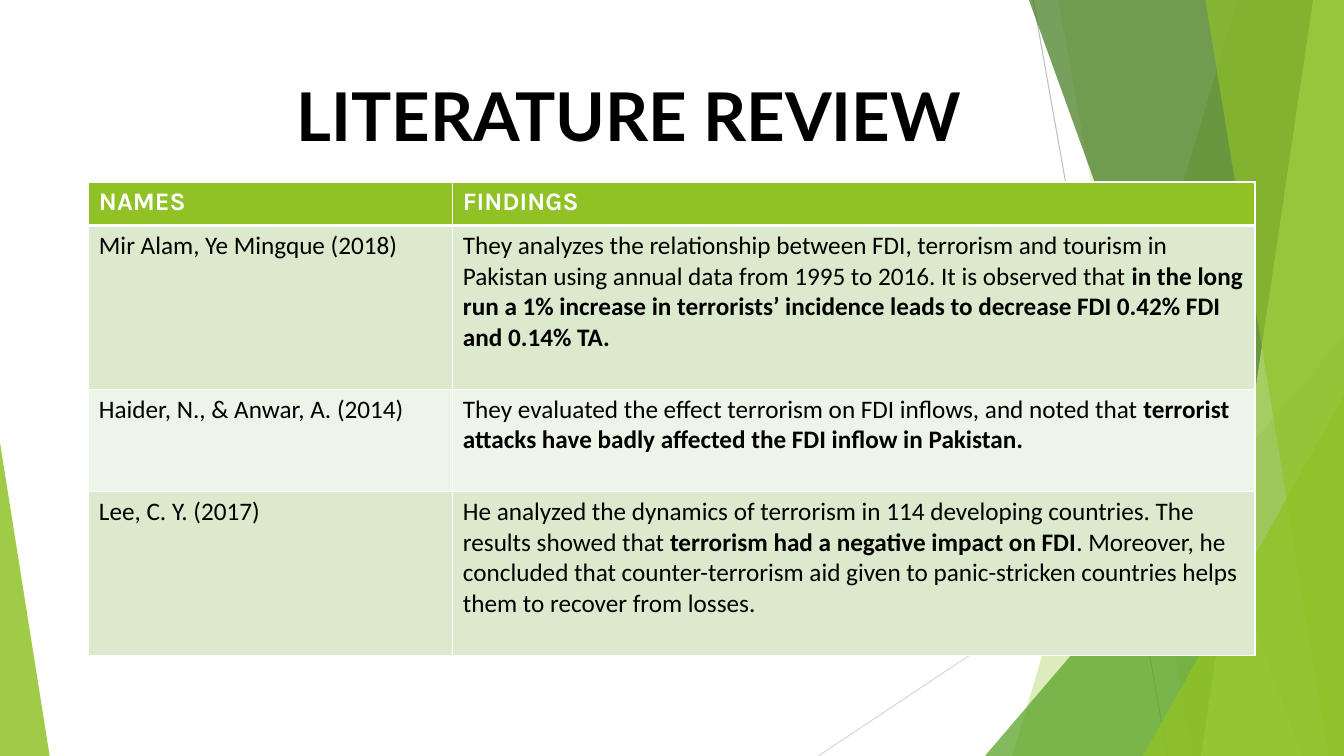
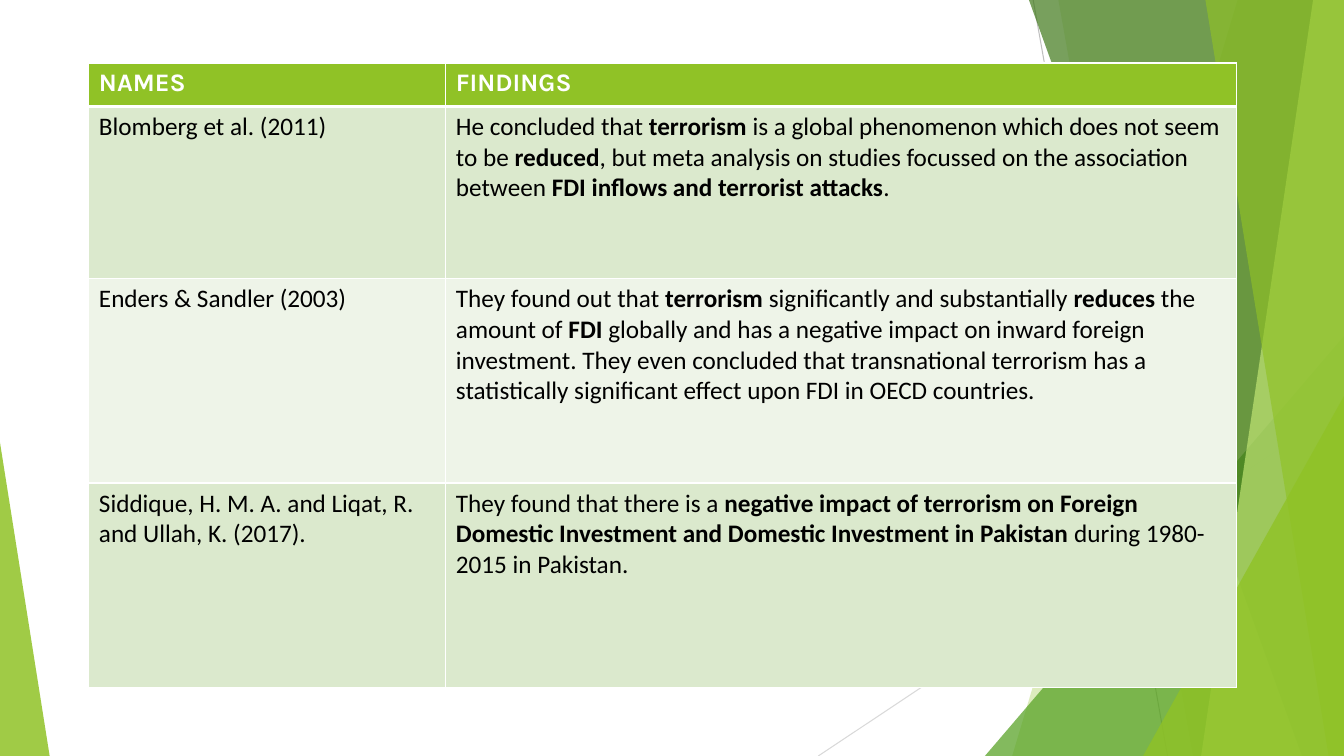
from lxml import etree
from pptx import Presentation
from pptx import util as u
from pptx.dml.color import RGBColor
from pptx.enum import shapes, text
from pptx.oxml import ns

WIDTH, HEIGHT = 960, 540
TITLE_ONLY, BLANK = 5, 6

# Shared colours and text styles
GREEN, LEAF, FOREST, LIME = "90C226", "54A021", "3F7819", "C0E474"
WHITE, BLACK = "FFFFFF", "000000"
BANDS = ["DBE9CD", "EEF4E8"]
TITLE_STYLE = {"name": "Lato", "size": u.Pt(48), "bold": True}
HEADER_STYLE = {"name": "Karla", "size": u.Pt(18), "bold": True}
BODY_STYLE = {"name": "Calibri", "size": u.Pt(18)}

# Hairlines: start x, start y, end x, end y, colour
HAIRLINES = [(738, 0, 834, 540, "BFBFBF"), (960, 290, 584.5, 540, "D9D9D9")]
# Panes reach the right edge: (top x, bottom x), colour, opacity in percent
# Triangles: (left, top, width, height), colour, opacity, apex position
FACETS = [
    ((884, 723), GREEN, 30),
    ((756, 852), GREEN, 20),
    ((703.5, 240, 256.5, 300), LEAF, 72, 1),
    ((735, 929.5), FOREST, 70),
    ((938, 858), LIME, 70),
    ((861, 949), GREEN, 65),
    ((816.5, 283, 143.5, 257), GREEN, 80, 1),
    ((0, 316, 35.5, 224), GREEN, 85, 0),
]

# Table content; ** switches bold on and off
HEADER = ("NAMES", "FINDINGS")
FIRST_STUDIES = [
    ("Mir Alam, Ye Mingque (2018)",
     "They analyzes the relationship between FDI, terrorism and tourism in "
     "Pakistan using annual data from 1995 to 2016. It is observed that "
     "**in the long run a 1% increase in terrorists’ incidence leads to "
     "decrease FDI 0.42% FDI and 0.14% TA.**"),
    ("Haider, N., & Anwar, A. (2014)",
     "They evaluated the effect terrorism on FDI inflows, and noted that "
     "**terrorist attacks have badly affected the FDI inflow in Pakistan.**"),
    ("Lee, C. Y. (2017)",
     "He analyzed the dynamics of terrorism in 114 developing countries. The "
     "results showed that **terrorism had a negative impact on FDI**. "
     "Moreover, he concluded that counter-terrorism aid given to "
     "panic-stricken countries helps them to recover from losses."),
]
MORE_STUDIES = [
    ("Blomberg et al. (2011)",
     "He concluded that** terrorism **is a global phenomenon which does not "
     "seem to be** reduced**, but meta analysis on studies focussed on the "
     "association between **FDI inflows and terrorist attacks**."),
    ("Enders & Sandler (2003)",
     "They found out that** terrorism **significantly and substantially "
     "**reduces** the amount of** FDI **globally and has a negative impact on "
     "inward foreign investment. They even concluded that transnational "
     "terrorism has a statistically significant effect upon FDI in OECD "
     "countries."),
    ("Siddique, H. M. A. and Liqat, R. and Ullah, K. (2017).",
     "They found that there is a **negative impact of terrorism on Foreign "
     "Domestic Investment and Domestic Investment in Pakistan **during "
     "1980-2015 in Pakistan."),
]


def colour(value):
    return RGBColor.from_string(value)


def points(values):
    return [u.Pt(value) for value in values]


def format_font(font, style, ink):
    for name, value in style.items():
        setattr(font, name, value)
    font.color.rgb = colour(ink)


def add_xml(parent, tag, **attributes):
    return etree.SubElement(parent, ns.qn(tag), attributes)


# Background decoration
def paint(shape, fill, opacity):
    shape.shadow.inherit = False
    shape.fill.solid()
    shape.fill.fore_color.rgb = colour(fill)
    shape.line.fill.background()
    solid = shape.fill._xPr.find(ns.qn("a:solidFill"))
    add_xml(solid[0], "a:alpha", val=str(opacity * 1000))


def add_pane(page, top_x, bottom_x):
    outline = page.shapes.build_freeform(top_x, 0, scale=u.Pt(1))
    outline.add_line_segments([(WIDTH, 0), (WIDTH, HEIGHT), (bottom_x, HEIGHT)])
    return outline.convert_to_shape()


def add_triangle(page, box, apex):
    triangle = page.shapes.add_shape(
        shapes.MSO_SHAPE.ISOSCELES_TRIANGLE, *points(box))
    triangle.adjustments[0] = apex
    return triangle


def add_facets(page):
    for *ends, ink in HAIRLINES:
        line = page.shapes.add_connector(
            shapes.MSO_CONNECTOR.STRAIGHT, *points(ends))
        line.line.color.rgb = colour(ink)
        line.line.width = u.Pt(0.75)
        add_xml(line._element.spPr, "a:effectLst")
    for place, fill, opacity, *apex in FACETS:
        shape = add_triangle(page, place, *apex) if apex else add_pane(page, *place)
        paint(shape, fill, opacity)


# Title
def add_title(page, wording, box):
    title = page.shapes.title
    title.left, title.top, title.width, title.height = points(box)
    frame = title.text_frame
    settings = {"text": wording, "word_wrap": True,
                "auto_size": text.MSO_AUTO_SIZE.NONE,
                "vertical_anchor": text.MSO_ANCHOR.MIDDLE}
    for name, value in settings.items():
        setattr(frame, name, value)
    para = frame.paragraphs[0]
    para.alignment = text.PP_ALIGN.LEFT
    format_font(para.runs[0].font, TITLE_STYLE, BLACK)


# Table of studies
def add_borders(cell, top, bottom):
    properties = cell._tc.get_or_add_tcPr()
    widths = {"a:lnL": 1, "a:lnR": 1, "a:lnT": top, "a:lnB": bottom}
    for tag, width in widths.items():
        line = add_xml(properties, tag, w=str(u.Pt(width)))
        add_xml(add_xml(line, "a:solidFill"), "a:srgbClr", val=WHITE)


def fill_cell(cell, wording, row):
    heading = row == 0
    add_borders(cell, 3 if row == 1 else 1, 3 if heading else 1)
    cell.fill.solid()
    cell.fill.fore_color.rgb = colour(GREEN if heading else BANDS[(row - 1) % 2])
    para = cell.text_frame.paragraphs[0]
    for index, part in enumerate(wording.split("**")):
        if part:
            span = para.add_run()
            span.text = part
            style = HEADER_STYLE if heading else {**BODY_STYLE, "bold": index % 2 == 1}
            format_font(span.font, style, WHITE if heading else BLACK)


def add_studies(page, studies, left, top, columns, heights):
    rows = [HEADER, *studies]
    box = points((left, top, sum(columns), sum(heights)))
    table = page.shapes.add_table(len(rows), len(columns), *box).table
    table.horz_banding = False
    for column, width in zip(table.columns, columns):
        column.width = u.Pt(width)
    for row, (wordings, height) in enumerate(zip(rows, heights)):
        table.rows[row].height = u.Pt(height)
        for column, wording in enumerate(wordings):
            fill_cell(table.cell(row, column), wording, row)


def add_page(deck, layout):
    page = deck.slides.add_slide(deck.slide_layouts[layout])
    for holder in list(page.placeholders):
        if holder.placeholder_format.type != shapes.PP_PLACEHOLDER.TITLE:
            holder._element.getparent().remove(holder._element)
    add_facets(page)
    return page


def main():
    deck = Presentation()
    deck.slide_width, deck.slide_height = points((WIDTH, HEIGHT))

    page = add_page(deck, TITLE_ONLY)
    add_title(page, "LITERATURE REVIEW", (204.5, 49, 702, 65.5))
    add_studies(page, FIRST_STUDIES, 63.5, 130, (260, 573), (31, 117, 73, 117))

    page = add_page(deck, BLANK)
    add_studies(page, MORE_STUDIES, 63.5, 45, (255, 565), (31, 123, 146, 146))

    deck.save("out.pptx")


if __name__ == "__main__":
    main()
